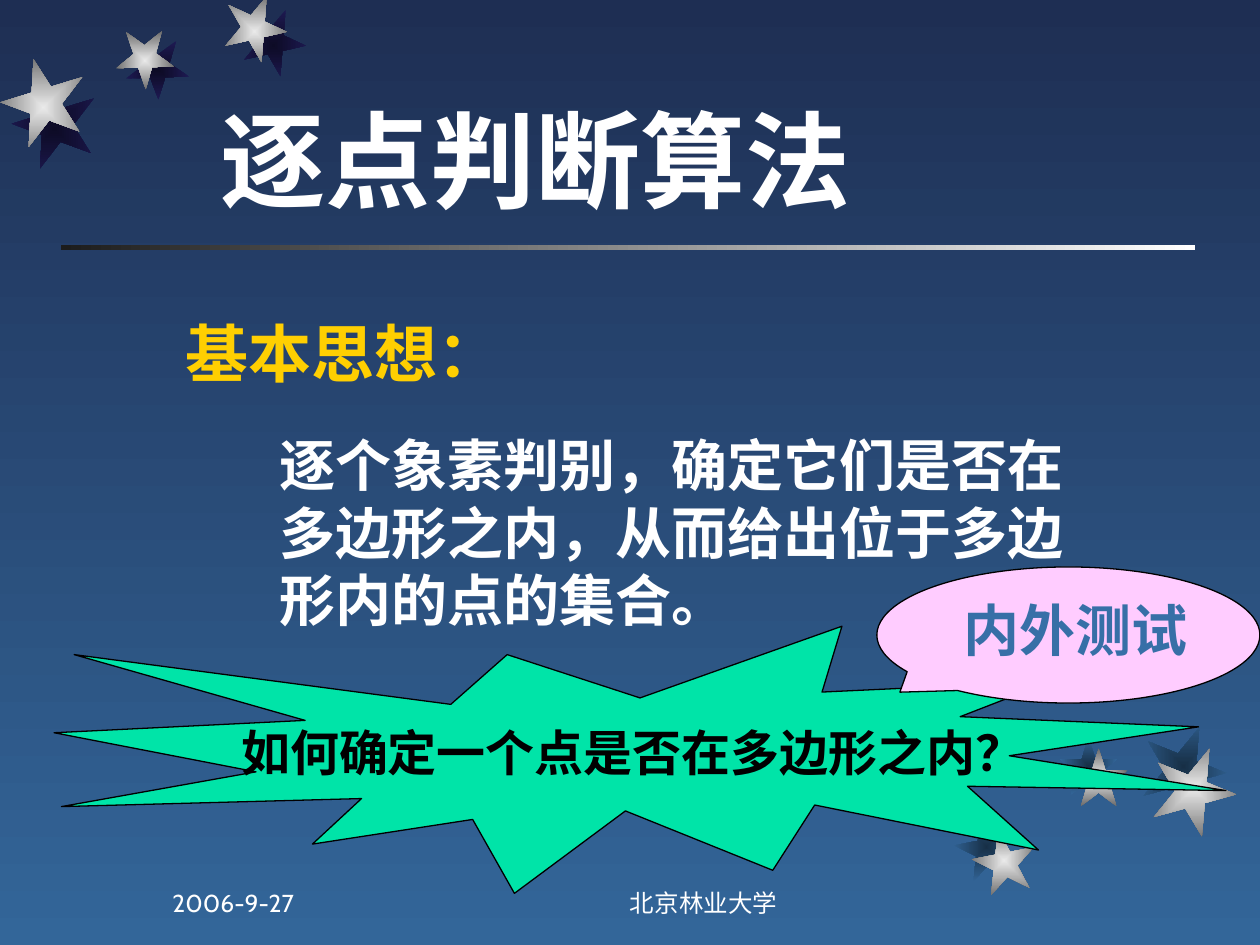
from pptx import Presentation
from pptx.dml.color import RGBColor as Rgb
from pptx.enum.shapes import MSO_SHAPE as Geo
from pptx.enum.text import MSO_ANCHOR as Anchor, PP_ALIGN as Align
from pptx.oxml.ns import qn
from pptx.util import Pt
from lxml.etree import SubElement as Sub

HUES = {
    "white": "FFFFFF", "black": "000000", "coal": "1C1C1C",
    "night": "1E2E53", "sea": "336699", "gold": "FFCF01",
    "mint": "00E4A8", "pink": "FFCCFF", "steel": "376FA7",
    "ink": "0D0B26", "plum": "1E1A53", "deep": "172F46",
    "pale": "EAEAEA", "grey": "6B6B6B",
}
SHINE = ("pale", "grey")
GROUPS = [
    (("ink", "plum"), [(138.24, 7.92, 36, 36, 167.3), (72, 23.76, 36, 33.12, 178.3),
                       (7.2, 49.68, 48, 48, 200.3)]),
    (SHINE, [(127.44, 0, 36, 36, 167.3), (66.24, 18, 33.12, 33.12, 178.3),
             (0.72, 37.44, 48, 48, 200.3)]),
    (("deep", "sea"), [(545.76, 465.84, 36, 36, 349), (605.52, 421.2, 33.12, 33.12, 0),
                       (652.32, 414, 48, 48, 22)]),
    (SHINE, [(555.84, 473.76, 36, 36, 349), (611.28, 427.68, 33.12, 33.12, 0),
             (658.08, 426.24, 48, 48, 22)]),
]


class Deck:
    """Draws styled elements on the current slide."""

    def __init__(self, wide, high):
        self.font = "Cabin"
        self.prs = Presentation()
        self.prs.slide_width, self.prs.slide_height = Pt(wide), Pt(high)
        self.slide = self.prs.slides.add_slide(self.prs.slide_layouts[6])

    def hue(self, name):
        return Rgb.from_string(HUES[name])

    def blend(self, fill, pair, angle=0):
        fill.gradient()
        fill.gradient_angle = angle
        for stop, name in zip(fill.gradient_stops, pair):
            stop.color.rgb = self.hue(name)

    def shape(self, geo, box, fill=None, line=None):
        item = self.slide.shapes.add_shape(geo, *map(Pt, box))
        item.shadow.inherit = False
        if fill:
            item.fill.solid()
            item.fill.fore_color.rgb = self.hue(fill)
        if line:
            item.line.color.rgb = self.hue(line)
            item.line.width = Pt(0.75)
        else:
            item.line.fill.background()
        return item

    def star(self, box, turn, pair):
        item = self.shape(Geo.STAR_5_POINT, box)
        item.rotation = turn
        self.blend(item.fill, pair)
        grad = item._element.spPr.find(qn("a:gradFill"))
        grad.remove(grad.find(qn("a:lin")))
        ring = Sub(grad, qn("a:path"), {"path": "rect"})
        Sub(ring, qn("a:fillToRect"), dict.fromkeys("ltrb", "50000"))

    def text(self, item, words, size, hue, bold=True, align=Align.LEFT,
             anchor=Anchor.TOP, wrap=True):
        frame = item.text_frame
        frame.word_wrap = wrap
        frame.vertical_anchor = anchor
        para = frame.paragraphs[0]
        para.alignment = align
        run = para.add_run()
        run.text = words
        font = run.font
        font.name, font.size, font.bold = self.font, Pt(size), bold
        font.color.rgb = self.hue(hue)
        Sub(run._r.get_or_add_rPr(), qn("a:ea"), typeface=self.font)

    def label(self, box, words, size, hue, **style):
        item = self.slide.shapes.add_textbox(*map(Pt, box))
        self.text(item, words, size, hue, **style)


def main():
    deck = Deck(720, 540)
    deck.blend(deck.slide.background.fill, ("night", "sea"), 270)
    rule = deck.shape(Geo.RECTANGLE, (34.8, 140.2, 648, 2.4))
    deck.blend(rule.fill, ("white", "coal"), 180)
    for pair, stars in GROUPS:
        for *box, turn in stars:
            deck.star(box, turn, pair)

    deck.label((118.8, 45.36, 492.48, 84.96), "逐点判断算法", 60, "white",
               anchor=Anchor.BOTTOM)
    deck.label((98.64, 176.4, 214.56, 45.36), "基本思想：", 36, "gold")
    deck.label((152.64, 242.64, 484.56, 126.72),
               "逐个象素判别，确定它们是否在多边形之内，从而给出位于多边形内的点的集合。",
               32, "white")

    burst = deck.shape(Geo.EXPLOSION1, (30.96, 357.84, 669.6, 152.64), "mint", "black")
    deck.text(burst, "如何确定一个点是否在多边形之内？", 28, "black",
              align=Align.CENTER, anchor=Anchor.MIDDLE, wrap=False)
    bubble = deck.shape(Geo.OVAL_CALLOUT, (501.12, 324, 218.88, 77.76), "pink", "black")
    bubble.adjustments[0], bubble.adjustments[1] = -0.44, 0.42
    deck.label((543.6, 336.96, 156.96, 46.08), "内外测试", 32, "steel")

    foot = {"bold": False, "anchor": Anchor.BOTTOM}
    deck.label((288, 491.76, 228.24, 36), "北京林业大学", 14, "white",
               align=Align.CENTER, **foot)
    deck.label((91.44, 491.76, 149.76, 36), "2006-9-27", 14, "white", **foot)
    deck.prs.save("out.pptx")


if __name__ == "__main__":
    main()
